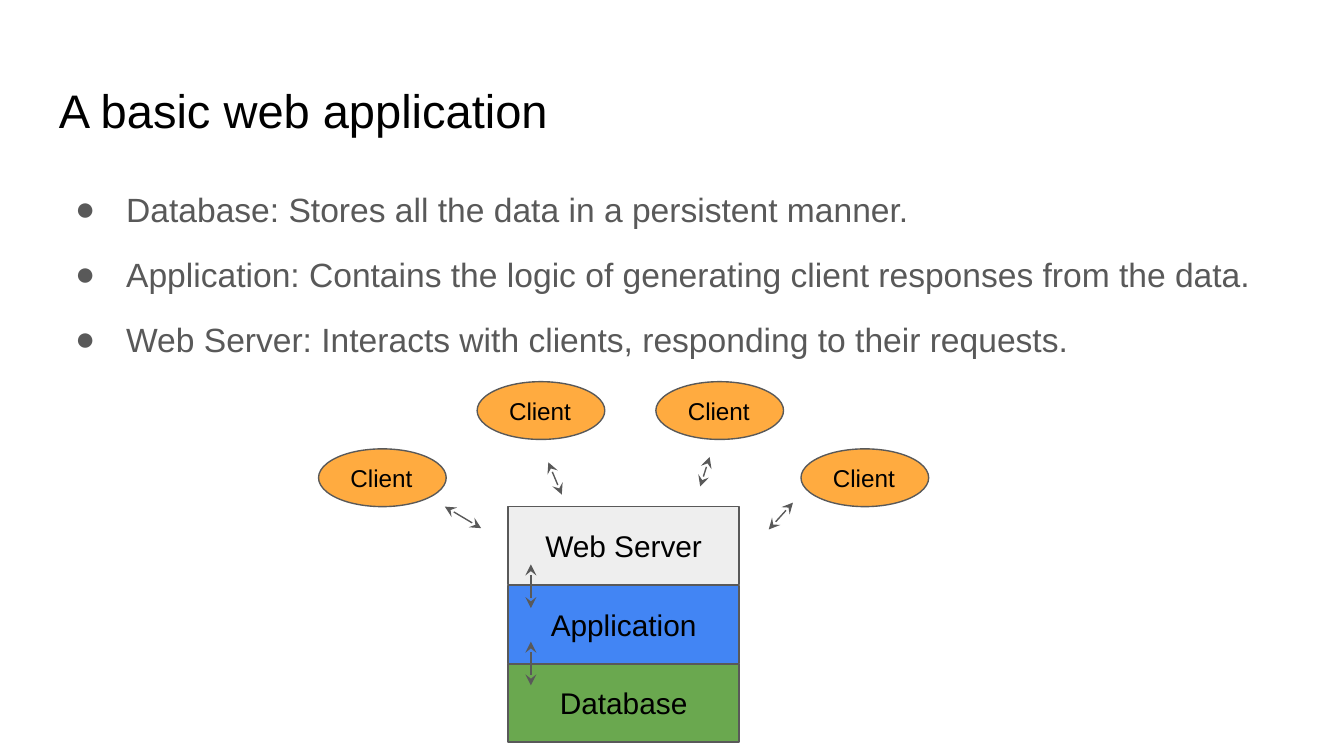
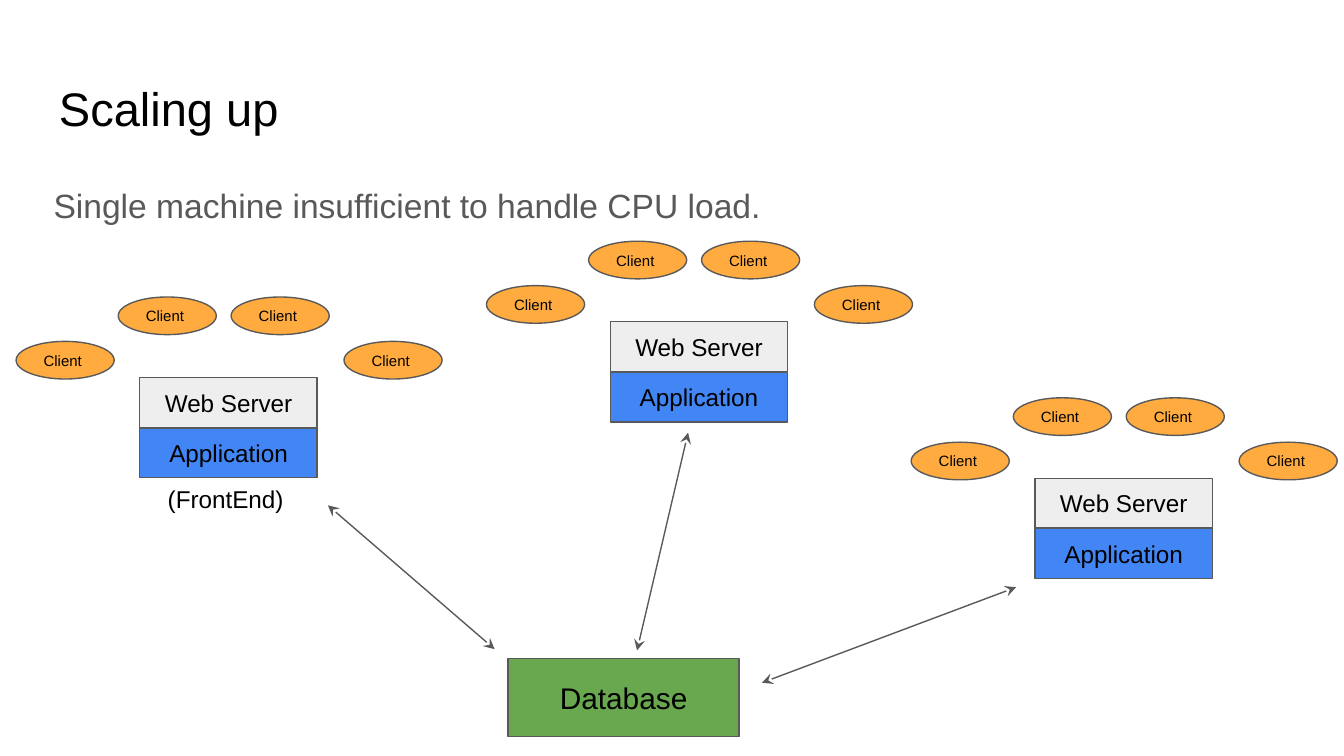
from dataclasses import dataclass

from lxml.etree import SubElement
from pptx import Presentation
from pptx.dml.color import RGBColor
from pptx.enum.shapes import MSO_CONNECTOR as Link, MSO_SHAPE as Preset
from pptx.enum.text import MSO_ANCHOR as Anchor, PP_ALIGN as Align
from pptx.oxml.ns import qn
from pptx.util import Inches, Pt

COLORS = {
    "title": "000000", "body": "595959", "label": "000000", "outline": "595959",
    "Web Server": "EEEEEE", "Application": "4285F4", "Database": "6AA84F",
    "Client": "FFAB40",
}
FONT = "Arial"
COLUMNS, ROWS = 100, 56.25      # square grid cells, ten to the inch
OUTLINE = Pt(0.75)
FRAME = {"word_wrap": True, **{f"margin_{side}": Inches(0.1)
                               for side in ("left", "right", "top", "bottom")}}


@dataclass
class Cluster:
    """Measures of a server stack and its clients, in grid cells."""
    client_columns: tuple
    client_drop: float
    client_size: tuple
    client_pt: float
    stack_at: tuple
    tier_size: tuple
    tier_pitch: float
    tier_pt: float


LARGE = Cluster((0, 11.8, 25.1, 35.9), 5, (9.5, 4.3), 13,
                (14.1, 9.3), (17.2, 5.8), 5.85, 16)
SMALL = Cluster((0, 7.6, 16, 24.4), 3.3, (7.3, 2.8), 8,
                (9.2, 6), (13.2, 3.7), 3.75, 13)


def cells(*counts):
    """Turn counts of grid cells into lengths."""
    return [Inches(count / 10) for count in counts]


def color(name):
    """Look up a named colour."""
    return RGBColor.from_string(COLORS[name])


def apply(target, values):
    """Set every attribute in a dict of format values."""
    for name, value in values.items():
        setattr(target, name, value)


def write(frame, lines, size, ink, align=Align.LEFT, **spacing):
    """Fill a text frame with one paragraph per line."""
    apply(frame, FRAME)
    for index, line in enumerate(lines):
        paragraph = frame.paragraphs[0] if index == 0 else frame.add_paragraph()
        apply(paragraph, {"alignment": align, **spacing})
        if index == 0:
            paragraph.space_before = Pt(0)
        run = paragraph.add_run()
        run.text = line
        apply(run.font, {"name": FONT, "size": Pt(size)})
        run.font.color.rgb = color(ink)


def add_text(slide, box, lines, size, ink, **spacing):
    """Place a text box and return its frame."""
    frame = slide.shapes.add_textbox(*cells(*box)).text_frame
    write(frame, lines, size, ink, **spacing)
    return frame


def add_bullets(frame):
    """Give each paragraph a hanging round bullet."""
    for paragraph in frame.paragraphs:
        props = paragraph._p.get_or_add_pPr()
        props.set("marL", str(Inches(0.5)))
        props.set("indent", str(Inches(-0.38)))
        tint = SubElement(props, qn("a:buClr"))
        SubElement(tint, qn("a:srgbClr"), val=COLORS["body"])
        SubElement(props, qn("a:buFont"), typeface=FONT)
        SubElement(props, qn("a:buChar"), char="●")


def add_node(slide, preset, box, label, size, align=Align.CENTER):
    """Draw an outlined shape coloured by its label."""
    node = slide.shapes.add_shape(preset, *cells(*box))
    node.shadow.inherit = False
    node.fill.solid()
    node.fill.fore_color.rgb = color(label)
    node.line.color.rgb = color("outline")
    node.line.width = OUTLINE
    node.text_frame.vertical_anchor = Anchor.MIDDLE
    write(node.text_frame, [label], size, "label", align)


def add_arrows(slide, routes):
    """Draw a double-headed arrow along each (x1, y1, x2, y2) route."""
    for route in routes:
        arrow = slide.shapes.add_connector(Link.STRAIGHT, *cells(*route))
        arrow.line.color.rgb = color("outline")
        arrow.line.width = OUTLINE
        props = arrow.element.spPr
        stroke = props.find(qn("a:ln"))
        for end in ("a:headEnd", "a:tailEnd"):
            SubElement(stroke, qn(end), type="stealth")
        SubElement(props, qn("a:effectLst"))


def add_cluster(slide, left, top, cluster, tiers):
    """Draw stacked tiers under an arc of four clients."""
    column, row = cluster.stack_at
    for index, tier in enumerate(tiers):
        box = (left + column, top + row + index * cluster.tier_pitch,
               *cluster.tier_size)
        add_node(slide, Preset.RECTANGLE, box, tier, cluster.tier_pt)
    last = len(cluster.client_columns) - 1
    for index, offset in enumerate(cluster.client_columns):
        drop = cluster.client_drop if index in (0, last) else 0
        add_node(slide, Preset.OVAL,
                 (left + offset, top + drop, *cluster.client_size),
                 "Client", cluster.client_pt, Align.LEFT)


def start_slide(deck, title, title_row):
    """Add a blank slide with its title."""
    slide = deck.slides.add_slide(deck.slide_layouts[6])
    add_text(slide, (3.4, title_row, 93.2, 6.3), [title], 25.2, "title")
    return slide


def basic_slide(deck):
    """Build the slide on a single three-tier machine."""
    slide = start_slide(deck, "A basic web application", 5.1)
    add_bullets(add_text(slide, (3.4, 12.6, 93.2, 37.4), [
        "Database: Stores all the data in a persistent manner.",
        "Application: Contains the logic of generating client responses from the data.",
        "Web Server: Interacts with clients, responding to their requests.",
    ], 18, "body", line_spacing=1.15, space_before=Pt(10)))
    add_cluster(slide, 23.7, 28.4, LARGE, ("Web Server", "Application", "Database"))
    between_tiers = [(39.5, top, 39.5, top + 3.25) for top in (42, 47.75)]
    to_clients = [(33.1, 37.7, 35.8, 39.3), (40.8, 34.4, 41.8, 36.8),
                  (52.8, 34, 52.1, 36.2), (59, 37.4, 57.2, 39.4)]
    add_arrows(slide, between_tiers + to_clients)


def scaling_slide(deck):
    """Build the slide on several front ends sharing one database."""
    slide = start_slide(deck, "Scaling up", 4.9)
    add_text(slide, (3, 12.3, 93.2, 37.4),
             ["Single machine insufficient to handle CPU load."],
             18, "body", line_spacing=1.15, space_after=Pt(12))
    for left, top in ((1.2, 22.1), (36.2, 17.95), (67.8, 29.6)):
        add_cluster(slide, left, top, SMALL, ("Web Server", "Application"))
    add_node(slide, Preset.RECTANGLE, (37.8, 49, *LARGE.tier_size),
             "Database", LARGE.tier_pt)
    add_arrows(slide, [(24.4, 37.6, 36.8, 48.3), (51.2, 32.2, 47.4, 48.4),
                       (75.6, 43.7, 56.7, 50.8)])
    add_text(slide, (11.5, 35, 11.6, 4.2), ["(FrontEnd)"], 13, "label")


deck = Presentation()
deck.slide_width, deck.slide_height = cells(COLUMNS, ROWS)
basic_slide(deck)
scaling_slide(deck)
deck.save("out.pptx")
